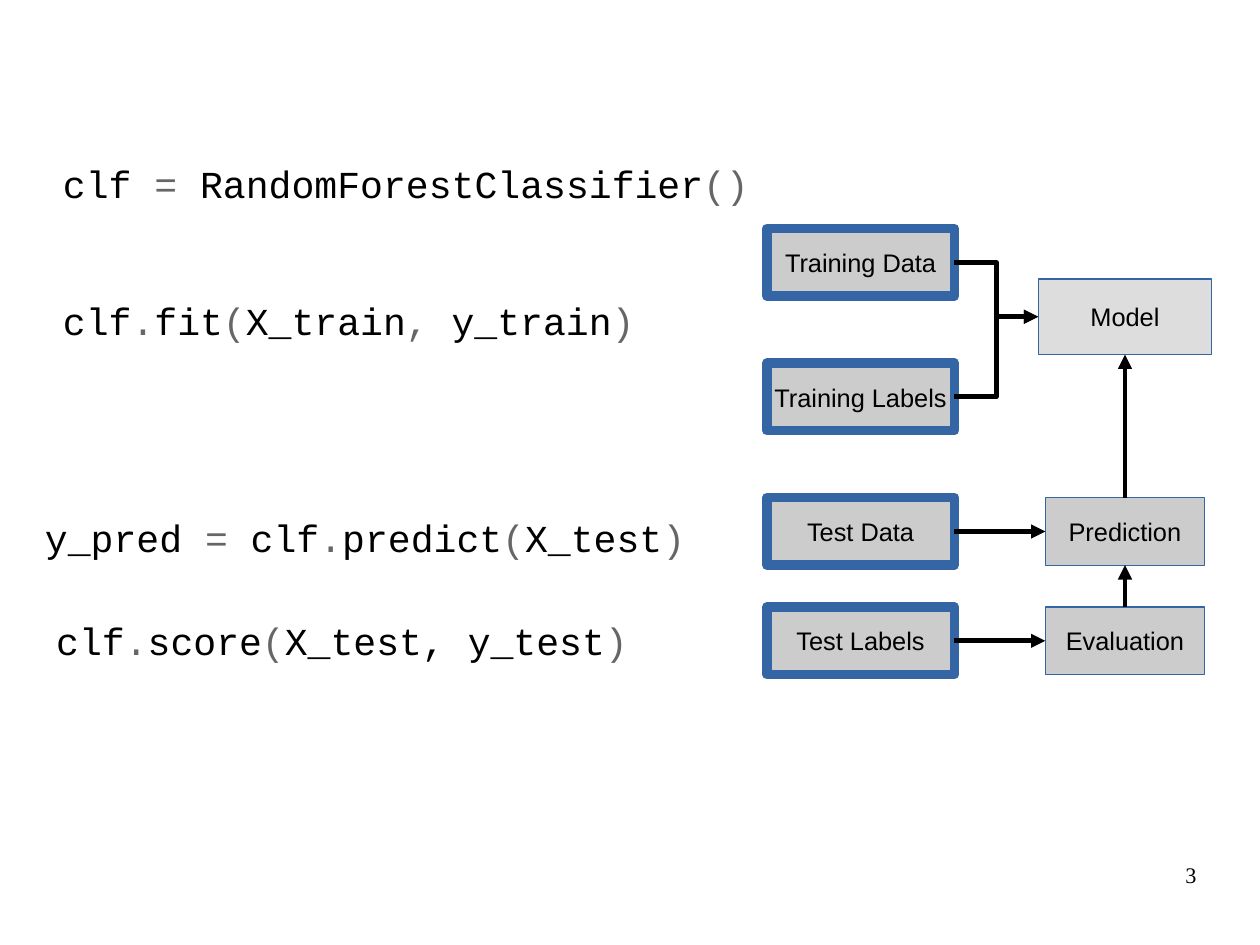
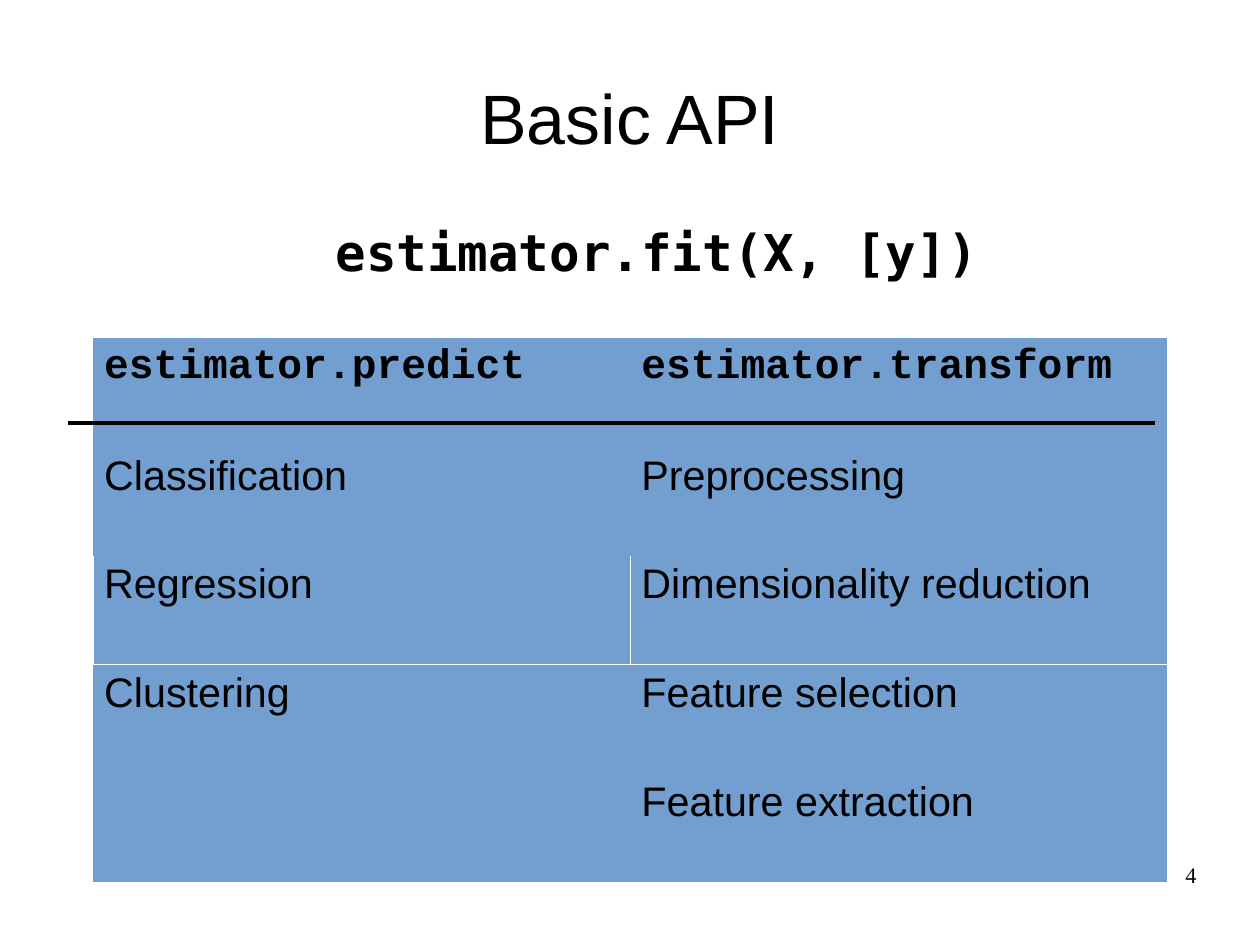
from lxml.etree import SubElement
from pptx import Presentation
from pptx.dml.color import RGBColor
from pptx.enum.shapes import MSO_CONNECTOR, MSO_SHAPE
from pptx.enum.text import MSO_ANCHOR, PP_ALIGN
from pptx.oxml.ns import qn
from pptx.util import Cm, Pt

COLORS = {
    "text": "000000",
    "operator": "666666",
    "box": "CCCCCC",
    "model": "DDDDDD",
    "outline": "3465A4",
    "table": "729FCF",
    "border": "FFFFFF",
}
SANS, CODE, CODE_BOLD, SERIF = "Arial", "Courier New", "DejaVu Sans Mono", "Times New Roman"
NO_TABLE_STYLE = "{2D5ABB26-0587-4C30-8999-92F81FD0307C}"
TOP, LEFT, BOTTOM, RIGHT = range(4)


def color(name):
    return RGBColor.from_string(COLORS[name])


def style_font(font, name, size, color_name="text", bold=False):
    font.name, font.size, font.bold = name, Pt(size), bold
    font.color.rgb = color(color_name)


def add_text(slide, box, pieces, font_name, size, align=PP_ALIGN.LEFT,
             anchor=MSO_ANCHOR.TOP, bold=False):
    """Add one line of text; every second piece takes the operator colour."""
    text_frame = slide.shapes.add_textbox(*map(Cm, box)).text_frame
    text_frame.word_wrap = True
    text_frame.vertical_anchor = anchor
    text_frame.margin_left = text_frame.margin_right = 0
    text_frame.margin_top = text_frame.margin_bottom = 0
    paragraph = text_frame.paragraphs[0]
    paragraph.alignment = align
    for index, piece in enumerate(pieces):
        run = paragraph.add_run()
        run.text = piece
        style_font(run.font, font_name, size, "operator" if index % 2 else "text", bold)


def add_slide(presentation, number):
    slide = presentation.slides.add_slide(presentation.slide_layouts[6])
    add_text(slide, (20.07, 19.13, 6.52, 1.45), [str(number)], SERIF, 14, PP_ALIGN.RIGHT)
    return slide


def style_line(line, color_name, width):
    line.color.rgb = color(color_name)
    line.width = Pt(width)


def round_joins(shape):
    return SubElement(shape.line._get_or_add_ln(), qn("a:round"))


def add_box(slide, box, label, fill="box", line_width=0):
    shape = slide.shapes.add_shape(MSO_SHAPE.RECTANGLE, *map(Cm, box))
    shape.shadow.inherit = False
    shape.fill.solid()
    shape.fill.fore_color.rgb = color(fill)
    style_line(shape.line, "outline", line_width)
    round_joins(shape)
    text_frame = shape.text_frame
    text_frame.word_wrap = False
    text_frame.vertical_anchor = MSO_ANCHOR.MIDDLE
    text_frame.text = label
    paragraph = text_frame.paragraphs[0]
    paragraph.alignment = PP_ALIGN.CENTER
    style_font(paragraph.runs[0].font, SANS, 16)
    return shape


def add_line(slide, kind, width, ends=(0, 0, 0, 0)):
    connector = slide.shapes.add_connector(kind, *map(Cm, ends))
    SubElement(connector._element.spPr, qn("a:effectLst"))
    style_line(connector.line, "text", width)
    return connector


def add_arrow(slide, start, start_side, end, end_side, kind=MSO_CONNECTOR.STRAIGHT):
    connector = add_line(slide, kind, 3)
    connector.begin_connect(start, start_side)
    connector.end_connect(end, end_side)
    round_joins(connector)
    SubElement(connector.line._get_or_add_ln(), qn("a:tailEnd"), type="triangle")


def add_code_lines(slide, left, top):
    """Place the calls; each entry gives an offset from the corner and the pieces."""
    lines = [
        (0.4, 0, ["clf ", "=", " RandomForestClassifier", "()"]),
        (0.4, 3.05, ["clf", ".", "fit", "(", "X_train", ",", " y_train", ")"]),
        (0, 7.87, ["y_pred ", "=", " clf", ".", "predict", "(", "X_test", ")"]),
        (0.25, 10.15, ["clf", ".", "score", "(", "X_test, y_test", ")"]),
    ]
    for indent, offset, pieces in lines:
        add_text(slide, (left + indent, top + offset, 18, 1), pieces, CODE, 24)


def add_workflow(slide, left, top):
    box_height = 1.5
    data_tops = {"Training Data": 0, "Training Labels": 2.99,
                 "Test Data": 5.98, "Test Labels": 8.41}
    data = {label: add_box(slide, (left, top + offset, 4.17, box_height), label, line_width=6)
            for label, offset in data_tops.items()}

    center = left + 7.96
    model = add_box(slide, (center - 1.93, top + 1.12, 3.86, 1.68), "Model", "model")
    prediction, evaluation = [
        add_box(slide, (center - 1.77, top + data_tops[source], 3.54, box_height), label)
        for label, source in (("Prediction", "Test Data"), ("Evaluation", "Test Labels"))]

    for label in ("Training Data", "Training Labels"):
        add_arrow(slide, data[label], RIGHT, model, LEFT, MSO_CONNECTOR.ELBOW)
    add_arrow(slide, data["Test Data"], RIGHT, prediction, LEFT)
    add_arrow(slide, data["Test Labels"], RIGHT, evaluation, LEFT)
    add_arrow(slide, prediction, TOP, model, BOTTOM)
    add_arrow(slide, evaluation, TOP, prediction, BOTTOM)


def add_cell_borders(cell):
    for side in ("a:lnL", "a:lnR", "a:lnB"):
        line = SubElement(cell._tc.get_or_add_tcPr(), qn(side), w=str(Pt(0.06)))
        fill = SubElement(line, qn("a:solidFill"))
        SubElement(fill, qn("a:srgbClr"), val=COLORS["border"])


def add_method_table(slide, left, top, width, height):
    rows = [
        ("estimator.predict", "estimator.transform"),
        ("Classification", "Preprocessing"),
        ("Regression", "Dimensionality reduction"),
        ("Clustering", "Feature selection"),
        ("", "Feature extraction"),
    ]
    bordered_row = 2
    frame = slide.shapes.add_table(len(rows), 2, *map(Cm, (left, top, width, height)))
    table = frame.table
    table.first_row = table.horz_banding = False
    table._tbl.tblPr.find(qn("a:tableStyleId")).text = NO_TABLE_STYLE
    for row_index, labels in enumerate(rows):
        header = row_index == 0
        for column_index, label in enumerate(labels):
            cell = table.cell(row_index, column_index)
            if row_index == bordered_row:
                add_cell_borders(cell)
            cell.fill.solid()
            cell.fill.fore_color.rgb = color("table")
            cell.text = label
            for run in cell.text_frame.paragraphs[0].runs:
                style_font(run.font, CODE if header else SANS, 26, bold=header)
    rule_y = top + 1.88
    add_line(slide, MSO_CONNECTOR.STRAIGHT, 2.89,
             (left - 0.56, rule_y, left + width - 0.28, rule_y))


def build_workflow_slide(presentation):
    slide = add_slide(presentation, 3)
    add_code_lines(slide, 1, 3.56)
    add_workflow(slide, 17.04, 5.08)


def build_api_slide(presentation):
    slide = add_slide(presentation, 4)
    add_text(slide, (1.4, 0.84, 25.2, 3.5), ["Basic API"], SANS, 44,
             PP_ALIGN.CENTER, MSO_ANCHOR.MIDDLE)
    add_text(slide, (2.6, 4.9, 24, 1.5), ["estimator.fit(X, [y])"], CODE_BOLD, 32,
             PP_ALIGN.CENTER, bold=True)
    add_method_table(slide, 2.06, 7.52, 23.88, 12.08)


def main():
    presentation = Presentation()
    presentation.slide_width, presentation.slide_height = Cm(28), Cm(21)
    build_workflow_slide(presentation)
    build_api_slide(presentation)
    presentation.save("out.pptx")


if __name__ == "__main__":
    main()
